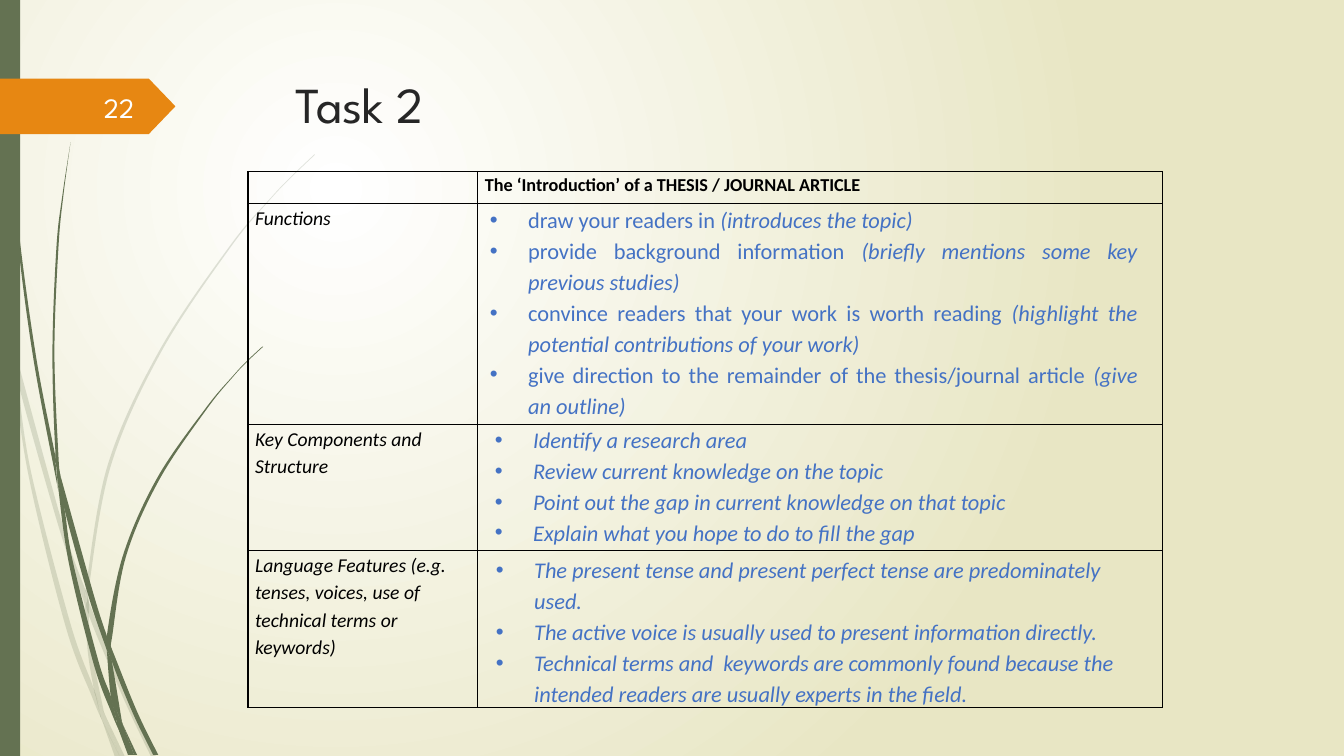
import pptx
import pptx.util
import pptx.dml.color
import pptx.enum.shapes
import pptx.enum.text
import pptx.oxml.ns
import lxml.etree

RGB = pptx.dml.color.RGBColor
SHAPES = pptx.enum.shapes.MSO_SHAPE
ALIGN = pptx.enum.text.PP_ALIGN
ANCHOR = pptx.enum.text.MSO_ANCHOR
qn = pptx.oxml.ns.qn

PX = 9144
WHITE = RGB(0xFF, 0xFF, 0xFF)
CREAM = RGB(0xE8, 0xE6, 0xC4)
GREEN = RGB(0x64, 0x72, 0x52)
ORANGE = RGB(0xE7, 0x87, 0x12)
CHARCOAL = RGB(0x26, 0x26, 0x26)
NUMBER_WHITE = RGB(0xFE, 0xFF, 0xFF)
BLACK = RGB(0, 0, 0)
BLUE = RGB(0x44, 0x72, 0xC4)
HEADING_FONT = "League Spartan"
BODY_FONT = "Calibri"

PALE_BLADES = [
    ([(11, 350), (9, 322), (0, 282)], [(0, 299), (10, 344), (11, 350)]),
    ([(14, 345), (17, 376), (58, 522), (84, 599)], [(85, 586), (62, 520), (14, 345)]),
    ([(88, 596), (88, 610), (123, 694), (150, 751)], [(155, 751), (127, 692), (92, 607), (88, 596)]),
    ([(105, 711), (119, 751)], [(124, 751), (105, 711)]),
    ([(101, 714), (99, 707), (93, 683), (70, 619), (31, 469), (17, 376), (11, 350)],
     [(11, 350), (28, 470), (65, 621), (92, 693), (101, 714)]),
    ([(84, 599), (87, 646), (93, 683), (96, 692), (105, 711)],
     [(103, 706), (91, 646), (88, 610), (88, 608), (84, 599)]),
    ([(88, 596), (88, 584), (110, 462), (160, 349), (229, 245), (268, 198), (290, 175), (312, 154)],
     [(312, 153), (289, 175), (268, 197), (228, 244), (158, 348), (107, 461), (85, 584), (85, 586), (88, 596)]),
    ([(101, 714), (114, 751)], [(119, 751), (101, 714)]),
    ([(88, 608), (88, 596), (85, 586)], [(84, 599), (88, 608)]),
    ([(93, 683), (99, 707), (101, 714), (119, 751)], [(105, 711), (96, 692), (93, 683)]),
]
DARK_BLADES = [
    ([(3, 0), (4, 48), (7, 110), (17, 233), (33, 355), (56, 477), (57, 481)],
     [(55, 457), (55, 453), (36, 355), (19, 232), (8, 109), (5, 48), (4, 0)]),
    ([(60, 472), (64, 505), (88, 592), (106, 645)], [(106, 633), (106, 631), (93, 590), (60, 472)]),
    ([(110, 641), (111, 656), (132, 708), (152, 749)], [(157, 749), (136, 706), (113, 649), (110, 641)]),
    ([(57, 477), (68, 557), (93, 659), (111, 708), (117, 722)],
     [(116, 717), (110, 691), (98, 657), (72, 556), (64, 505), (57, 477)]),
    ([(60, 472), (58, 453), (54, 349), (58, 245), (63, 193), (70, 141)],
     [(70, 141), (62, 193), (56, 245), (52, 349), (55, 449), (60, 472)]),
    ([(122, 719), (133, 749)], [(136, 749), (122, 719)]),
    ([(57, 477), (64, 505), (60, 472)], [(55, 449), (55, 453), (57, 477)]),
    ([(110, 641), (111, 633), (125, 552), (158, 476), (205, 406), (231, 374), (245, 359), (261, 344)],
     [(260, 344), (245, 358), (231, 373), (204, 405), (156, 474), (122, 551), (106, 631), (110, 641)]),
    ([(117, 722), (127, 749)], [(131, 749), (117, 722)]),
    ([(106, 645), (110, 691), (116, 706), (122, 719)], [(121, 716), (111, 656), (109, 651), (106, 645)]),
    ([(106, 645), (109, 651), (111, 656)], [(110, 641), (106, 631), (106, 633), (106, 645)]),
    ([(110, 691), (116, 717), (117, 722), (130, 749)], [(133, 749), (122, 719), (116, 706), (110, 691)]),
]

TABLE_TEXT = [
    "The ‘Introduction’ of a THESIS / JOURNAL ARTICLE",
    "Functions",
    "Key Components and Structure",
    "Language Features (e.g. tenses, voices, use of technical terms or keywords)",
]
FUNCTIONS = [
    [("draw your readers in ", False), ("(introduces the topic)", True)],
    [("provide background information ", False), ("(briefly mentions some key previous studies)", True)],
    [("convince readers that your work is worth reading ", False),
     ("(highlight the potential contributions of your work)", True)],
    [("give direction to the remainder of the thesis/journal article ", False), ("(give an outline)", True)],
]
COMPONENTS = [[(line, True)] for line in (
    "Identify a research area",
    "Review current knowledge on the topic",
    "Point out the gap in current knowledge on that topic",
    "Explain what you hope to do to fill the gap",
)]
LANGUAGE = [[(line, True)] for line in (
    "The present tense and present perfect tense are predominately used.",
    "The active voice is usually used to present information directly.",
    "Technical terms and  keywords are commonly found because the intended readers are usually experts in the field.",
)]


def emu(box):
    return [length * PX for length in box]


def add_xml(parent, tag, **attributes):
    return lxml.etree.SubElement(parent, qn(tag), attributes)


def style(font, size, name, color, bold=False, italic=False):
    font.size = pptx.util.Pt(size)
    font.name = name
    font.color.rgb = color
    font.bold = bold
    font.italic = italic


def paint(shape, color):
    shape.shadow.inherit = False
    shape.fill.solid()
    shape.fill.fore_color.rgb = color
    shape.line.fill.background()


def paint_background(slide):
    fill = slide.background.fill
    fill.gradient()
    for stop, position, color in zip(fill.gradient_stops, (0, 1), (WHITE, CREAM)):
        stop.position = position
        stop.color.rgb = color
    linear = next(slide._element.iter(qn("a:lin")))
    gradient = linear.getparent()
    gradient.remove(linear)
    circle = add_xml(gradient, "a:path", path="circle")
    add_xml(circle, "a:fillToRect", l="50000", t="50000", r="100000", b="100000")


def edge_controls(edge):
    padded = [edge[0], *edge, edge[-1]]
    return [([q + (r - p) / 6 for p, q, r in zip(a, b, c)],
             [r - (s - q) / 6 for q, r, s in zip(b, c, d)])
            for a, b, c, d in zip(padded, padded[1:], padded[2:], padded[3:])]


def curve_edges(blade, outward, back):
    origin = [min(values) for values in zip(*outward, *back)]
    controls = edge_controls(outward) + [None] + edge_controls(back)
    for segment, pair in zip(list(blade._element.iter(qn("a:lnTo"))), controls):
        if pair is None:
            continue
        curve = lxml.etree.Element(qn("a:cubicBezTo"))
        for point in pair:
            x, y = (str(round((value - start) * PX)) for value, start in zip(point, origin))
            add_xml(curve, "a:pt", x=x, y=y)
        curve.append(segment[0])
        segment.getparent().replace(segment, curve)


def draw_grass(slide, box, blades, opacity):
    left, top = box[:2]
    for outward, back in blades:
        outline = [((left + x) * PX, (top + y) * PX) for x, y in outward + back]
        builder = slide.shapes.build_freeform(*outline[0], scale=1.0)
        builder.add_line_segments(outline[1:], close=True)
        blade = builder.convert_to_shape()
        curve_edges(blade, outward, back)
        paint(blade, GREEN)
        if opacity < 100:
            color = next(blade._element.spPr.iter(qn("a:srgbClr")))
            add_xml(color, "a:alpha", val=str(opacity * 1000))


def add_label(slide, box, text, size, color, align=ALIGN.LEFT, anchor=ANCHOR.TOP):
    frame = slide.shapes.add_textbox(*emu(box)).text_frame
    frame.word_wrap = True
    frame.vertical_anchor = anchor
    frame.text = text
    frame.paragraphs[0].alignment = align
    style(frame.paragraphs[0].runs[0].font, size, HEADING_FONT, color)


def draw_margin(slide, box):
    paint(slide.shapes.add_shape(SHAPES.RECTANGLE, *emu(box)), GREEN)


def draw_number_tag(slide, box):
    left, top = box[:2]
    tag = slide.shapes.add_shape(SHAPES.PENTAGON, *emu(box))
    tag.adjustments[0] = 0.48
    paint(tag, ORANGE)
    add_label(slide, (left + 58, top + 8, 85, 40), "22", 20, NUMBER_WHITE, ALIGN.RIGHT, ANCHOR.MIDDLE)


def outline_cell(cell):
    cell.margin_left = cell.margin_right = 7 * PX
    cell.margin_top = cell.margin_bottom = 0
    properties = cell._tc.get_or_add_tcPr()
    for side in ("a:lnL", "a:lnR", "a:lnT", "a:lnB"):
        border = add_xml(properties, side, w="12700")
        add_xml(add_xml(border, "a:solidFill"), "a:srgbClr", val=str(BLACK))
    cell.fill.background()


def draw_table(slide, box, columns, rows):
    table = slide.shapes.add_table(len(rows), len(columns), *emu(box)).table
    table.first_row = table.horz_banding = False
    for column, width in zip(table.columns, columns):
        column.width = width * PX
    for row, height in zip(table.rows, rows):
        row.height = height * PX
    for cell in table.iter_cells():
        outline_cell(cell)
    for index, text in enumerate(TABLE_TEXT):
        heading = index == 0
        cell = table.cell(index, 1 if heading else 0)
        cell.text = text
        paragraph = cell.text_frame.paragraphs[0]
        paragraph.line_spacing = 1.15
        paragraph.space_after = pptx.util.Pt(10)
        style(paragraph.runs[0].font, 13 if heading else 14, BODY_FONT, BLACK, heading, not heading)


def add_bullets(slide, box, items, align=ALIGN.LEFT):
    frame = slide.shapes.add_textbox(*emu(box)).text_frame
    frame.word_wrap = True
    frame.auto_size = pptx.enum.text.MSO_AUTO_SIZE.SHAPE_TO_FIT_TEXT
    for index, item in enumerate(items):
        paragraph = frame.add_paragraph() if index else frame.paragraphs[0]
        paragraph.alignment = align
        paragraph.line_spacing = 1.15
        if index == len(items) - 1:
            paragraph.space_after = pptx.util.Pt(10)
        properties = paragraph._p.get_or_add_pPr()
        properties.set("marL", str(38 * PX))
        properties.set("indent", str(-38 * PX))
        add_xml(add_xml(properties, "a:buClr"), "a:srgbClr", val=str(BLUE))
        add_xml(properties, "a:buFont", typeface="Arial")
        add_xml(properties, "a:buChar", char="•")
        for text, italic in item:
            run = paragraph.add_run()
            run.text = text
            style(run.font, 16, BODY_FONT, BLUE, italic=italic)


def main():
    deck = pptx.Presentation()
    deck.slide_width, deck.slide_height = emu((1333, 750))
    slide = deck.slides.add_slide(deck.slide_layouts[6])
    paint_background(slide)
    draw_grass(slide, (0, 0, 312, 750), PALE_BLADES, 20)
    draw_grass(slide, (0, 0, 261, 750), DARK_BLADES, 100)
    draw_margin(slide, (0, 0, 20, 750))
    draw_number_tag(slide, (0, 78, 174, 55))
    add_label(slide, (283, 68, 975, 140), "Task 2", 36, CHARCOAL)
    draw_table(slide, (246, 170, 907, 532), (228, 679), (32, 219, 125, 156))
    add_bullets(slide, (476, 196, 662, 227), FUNCTIONS, ALIGN.JUSTIFY)
    add_bullets(slide, (481, 414, 651, 134), COMPONENTS)
    add_bullets(slide, (482, 543, 664, 165), LANGUAGE)
    deck.save("out.pptx")


if __name__ == "__main__":
    main()
